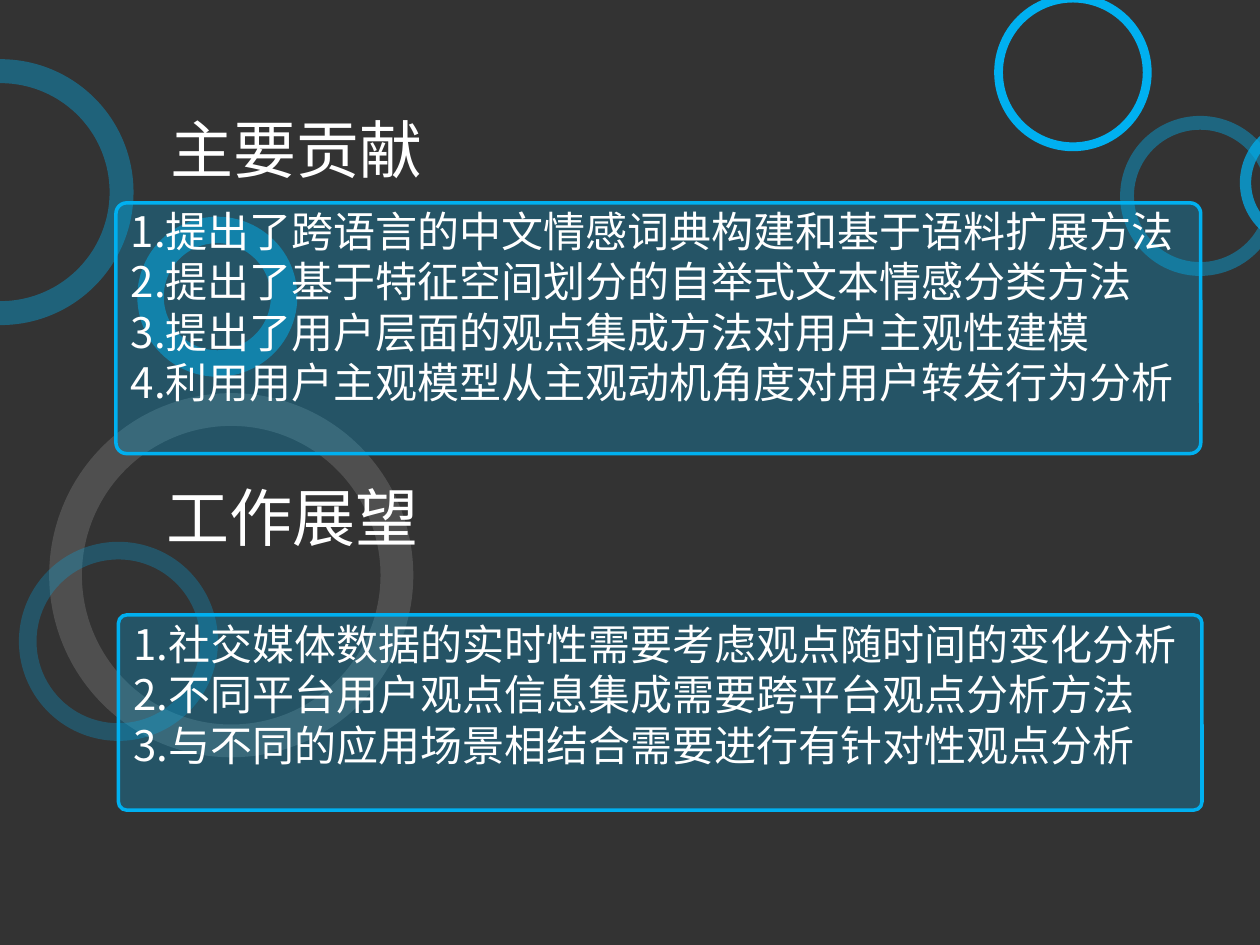
from pptx import Presentation
from pptx.dml.color import RGBColor
from pptx.enum.shapes import MSO_SHAPE as Shape
from pptx.enum.text import MSO_ANCHOR as Anchor, PP_ALIGN as Align
from pptx.oxml.ns import qn
from pptx.util import Inches, Pt
from lxml.etree import SubElement

FONT = "Noto Sans CJK SC"
BLUE = "00B0F0"
WHITE = "FFFFFF"
TEXT_WIDTH = 8.58
HEADING_SIZE = (2.22, 0.71)

RINGS = [
    (0.39, 3.12, 2.89, 0.26, WHITE, 14),
    (-1.05, 0.47, 2.11, 0.19, BLUE, 38),
    (0.15, 4.3, 1.58, 0.14, BLUE, 27),
    (1.09, 1.72, 1.27, 0.21, BLUE, 50),
    (8.89, 0.92, 1.27, 0.11, BLUE, 41),
    (7.89, -0.05, 1.25, 0.07, BLUE, 100),
    (9.84, 0.94, 1.02, 0.09, BLUE, 72),
]
CONTRIBUTIONS = [
    "提出了跨语言的中文情感词典构建和基于语料扩展方法",
    "提出了基于特征空间划分的自举式文本情感分类方法",
    "提出了用户层面的观点集成方法对用户主观性建模",
    "利用用户主观模型从主观动机角度对用户转发行为分析",
]
OUTLOOK = [
    "社交媒体数据的实时性需要考虑观点随时间的变化分析",
    "不同平台用户观点信息集成需要跨平台观点分析方法",
    "与不同的应用场景相结合需要进行有针对性观点分析",
]


def color(value):
    return RGBColor.from_string(value)


def fill_shape(shape, value, opacity):
    shape.shadow.inherit = False
    shape.fill.solid()
    shape.fill.fore_color.rgb = color(value)
    if opacity < 100:
        target = shape.fill._xPr.find(qn("a:solidFill"))[0]
        SubElement(target, qn("a:alpha"), val=str(opacity * 1000))


def add_ring(slide, left, top, size, thickness, value, opacity):
    ring = slide.shapes.add_shape(
        Shape.DONUT, Inches(left), Inches(top), Inches(size), Inches(size))
    ring.adjustments[0] = thickness / size
    fill_shape(ring, value, opacity)
    ring.line.fill.background()


def add_panel(slide, left, top, width, height):
    panel = slide.shapes.add_shape(
        Shape.ROUNDED_RECTANGLE, Inches(left), Inches(top), Inches(width), Inches(height))
    panel.adjustments[0] = 0.043
    fill_shape(panel, BLUE, 27)
    panel.line.color.rgb = color(BLUE)
    panel.line.width = Pt(2)


def write_lines(frame, lines, size, wrap):
    frame.word_wrap = wrap
    frame.vertical_anchor = Anchor.TOP
    frame.text = "\n".join(lines)
    for paragraph in frame.paragraphs:
        paragraph.alignment = Align.LEFT
        paragraph.line_spacing = Pt(size * 1.2)
        paragraph.font.size = Pt(size)
        paragraph.font.name = FONT
        paragraph.font.color.rgb = color(WHITE)
        SubElement(paragraph.font._rPr, qn("a:ea"), typeface=FONT)


def add_text(slide, left, top, width, height, lines, size, wrap=True):
    box = slide.shapes.add_textbox(Inches(left), Inches(top), Inches(width), Inches(height))
    write_lines(box.text_frame, lines, size, wrap)


def add_numbered_list(slide, left, top, height, items):
    lines = [f"{number}.{item}" for number, item in enumerate(items, 1)]
    add_text(slide, left, top, TEXT_WIDTH, height, lines, 24)


def set_title(slide, left, top, text):
    title = slide.shapes.title
    title.left, title.top = Inches(left), Inches(top)
    title.width, title.height = (Inches(length) for length in HEADING_SIZE)
    write_lines(title.text_frame, [text], 36, False)


def main():
    presentation = Presentation()
    presentation.slide_width, presentation.slide_height = Inches(10), Inches(7.5)
    slide = presentation.slides.add_slide(presentation.slide_layouts.get_by_name("Title Only"))
    slide.background.fill.solid()
    slide.background.fill.fore_color.rgb = color("333333")

    for ring in RINGS:
        add_ring(slide, *ring)

    set_title(slide, 1.25, 0.83, "主要贡献")
    add_panel(slide, 0.92, 1.61, 8.61, 1.99)
    add_numbered_list(slide, 0.94, 1.58, 1.72, CONTRIBUTIONS)

    add_text(slide, 1.22, 3.75, *HEADING_SIZE, ["工作展望"], 36, False)
    add_panel(slide, 0.94, 4.88, 8.6, 1.55)
    add_numbered_list(slide, 0.96, 4.86, 1.31, OUTLOOK)

    presentation.save("out.pptx")


if __name__ == "__main__":
    main()
